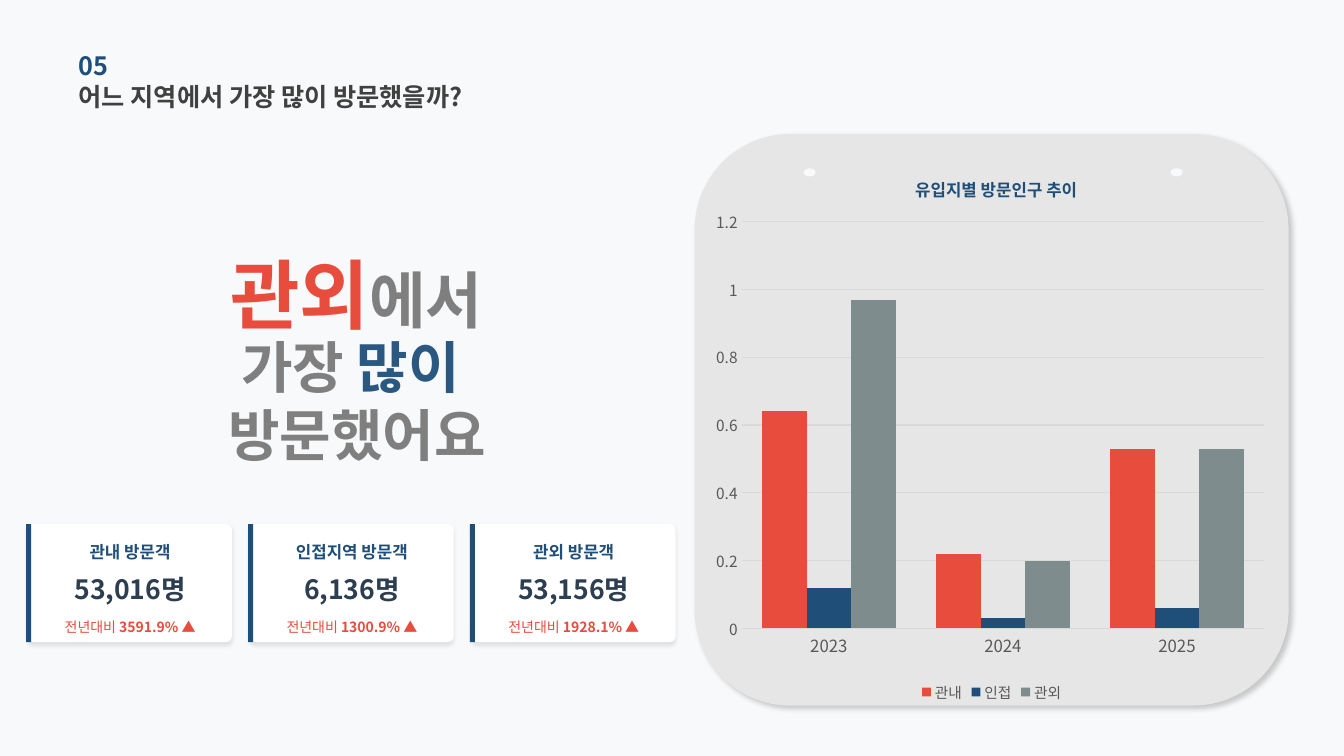
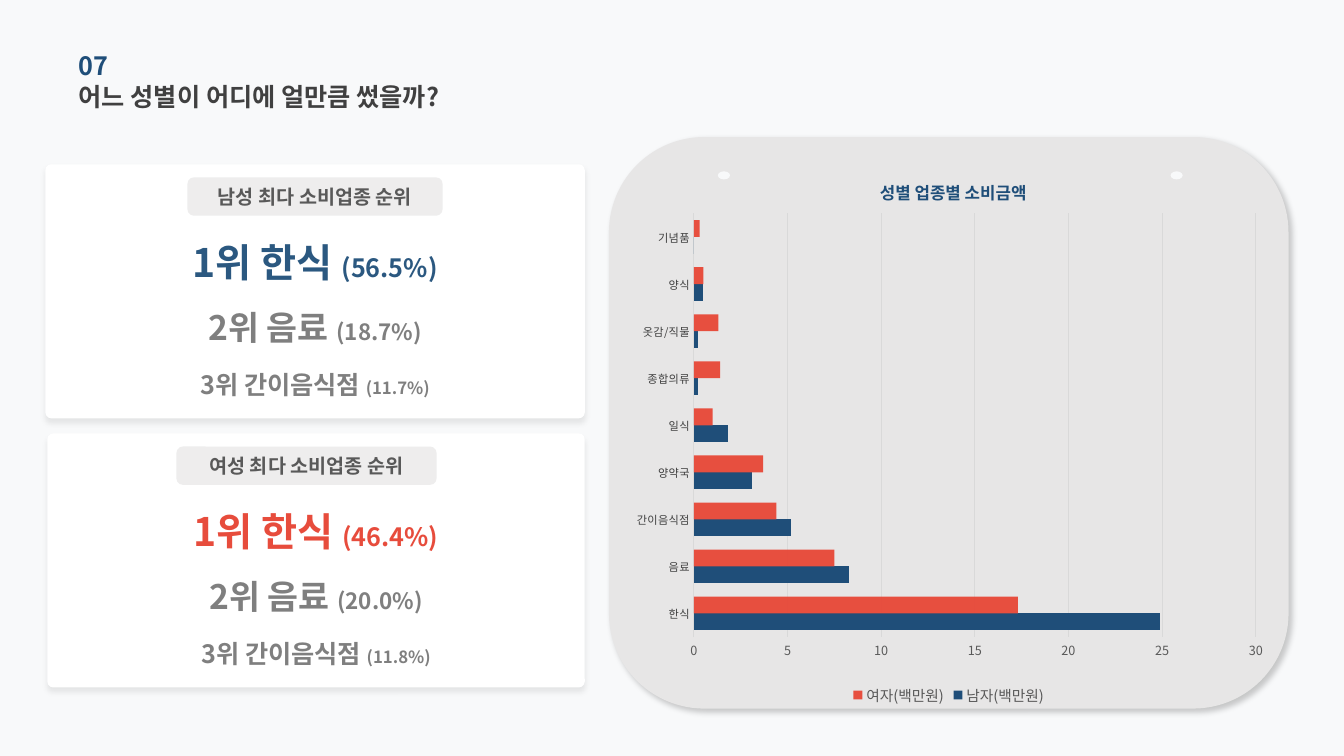
"""Build two slides on visitor origins and on spending by gender."""
from dataclasses import dataclass

from lxml import etree
from pptx import Presentation
from pptx.chart.data import CategoryChartData
from pptx.dml.color import RGBColor
from pptx.enum.chart import XL_CHART_TYPE, XL_LEGEND_POSITION, XL_TICK_MARK
from pptx.enum.shapes import MSO_SHAPE
from pptx.enum.text import MSO_ANCHOR, PP_ALIGN
from pptx.oxml.ns import qn
from pptx.util import Inches, Pt

COLUMNS, BARS = XL_CHART_TYPE.COLUMN_CLUSTERED, XL_CHART_TYPE.BAR_CLUSTERED
LEGEND_BOTTOM, NO_TICK = XL_LEGEND_POSITION.BOTTOM, XL_TICK_MARK.NONE
RECT, ROUND, OVAL = MSO_SHAPE.RECTANGLE, MSO_SHAPE.ROUNDED_RECTANGLE, MSO_SHAPE.OVAL
LEFT, CENTER, MIDDLE = PP_ALIGN.LEFT, PP_ALIGN.CENTER, MSO_ANCHOR.MIDDLE


@dataclass(frozen=True)
class Theme:
    """Colours, font and type sizes shared by the slides."""
    font: str = "Noto Sans CJK KR"
    page: str = "F8F9FA"
    panel: str = "E7E6E6"
    card: str = "FFFFFF"
    badge: str = "D0CECE"
    navy: str = "1F4E79"
    blue: str = "2B5880"
    red: str = "E74C3C"
    slate: str = "7F8C8D"
    ink: str = "2C3E50"
    dark: str = "404040"
    label: str = "595959"
    muted: str = "7F7F7F"
    grid: str = "D9D9D9"
    heading: float = 18
    huge: float = 54
    large: float = 44
    big: float = 40
    figure: float = 19
    caption: float = 12
    small: float = 10
    legend: float = 10.5
    badge_size: float = 14
    ranks: tuple = ((28, 18), (24, 16), (18, 12))


T = Theme()
PANEL_SHADOW = (20, 4, 3, 45)
STAT_SHADOW = (10, 3, 2, 90)
RANK_SHADOW = (8, 4, 3, 90)


def rgb(colour):
    """Turn a hex string into a colour."""
    return RGBColor.from_string(colour)


def style_font(font, size, colour, bold=False):
    """Set the theme font, for Latin and Korean text alike."""
    font.name, font.size, font.bold = T.font, Pt(size), bold
    font.color.rgb = rgb(colour)
    etree.SubElement(font._rPr, qn("a:ea"), typeface=T.font)


def set_alpha(element, percent):
    """Make the first colour inside an element translucent."""
    colour = next(element.iter(qn("a:srgbClr")))
    etree.SubElement(colour, qn("a:alpha"), val=str(percent * 1000))


def add_shadow(shape, alpha, blur, distance, angle):
    """Give a shape a soft black outer shadow."""
    effects = shape.element.spPr.find(qn("a:effectLst"))
    outer = etree.SubElement(effects, qn("a:outerShdw"), blurRad=str(Pt(blur)),
                             dist=str(Pt(distance)), dir=str(angle * 60000),
                             algn="tl", rotWithShape="0")
    etree.SubElement(outer, qn("a:srgbClr"), val="000000")
    set_alpha(outer, alpha)


def add_block(shapes, kind, box, colour, shadow=None, corner=None):
    """Add a plain filled shape without an outline."""
    block = shapes.add_shape(kind, *map(Inches, box))
    block.shadow.inherit = False
    block.fill.solid()
    block.fill.fore_color.rgb = rgb(colour)
    block.line.fill.background()
    if corner is not None:
        block.adjustments[0] = corner
    if shadow:
        add_shadow(block, *shadow)
    return block


def write(frame, lines, size, colour, bold=True, align=CENTER):
    """Fill a frame with lines of (text, font overrides) runs."""
    frame.word_wrap, frame.vertical_anchor = True, MIDDLE
    frame.margin_left = frame.margin_right = frame.margin_top = frame.margin_bottom = 0
    for index, runs in enumerate(lines):
        paragraph = frame.add_paragraph() if index else frame.paragraphs[0]
        paragraph.alignment = align
        style_font(paragraph.font, size, colour, bold)
        for text, changes in runs:
            run = paragraph.add_run()
            run.text = text
            if "size" in changes:
                run.font.size = Pt(changes["size"])
            if "colour" in changes:
                run.font.color.rgb = rgb(changes["colour"])
            if "bold" in changes:
                run.font.bold = changes["bold"]


def add_text(shapes, box, lines, size, colour, **options):
    """Add a text box; a bare string is one line."""
    if isinstance(lines, str):
        lines = [[(lines, {})]]
    frame = shapes.add_textbox(*map(Inches, box)).text_frame
    write(frame, lines, size, colour, **options)


def new_slide(deck, number, question):
    """Add a slide with its page colour, number and question."""
    slide = deck.slides.add_slide(deck.slide_layouts[6])
    slide.background.fill.solid()
    slide.background.fill.fore_color.rgb = rgb(T.page)
    for top, text, colour in ((0.44, number, T.navy), (0.75, question, T.dark)):
        add_text(slide.shapes, (0.78, top, 5.28, 0.41), text, T.heading, colour, align=LEFT)
    return slide.shapes


def place(parent, index, **fractions):
    """Fix a chart part at fractions of the chart area."""
    layout = parent.find(qn("c:layout"))
    if layout is None:
        layout = etree.Element(qn("c:layout"))
        parent.insert(index, layout)
    manual = etree.SubElement(layout, qn("c:manualLayout"))
    if "w" in fractions:
        etree.SubElement(manual, qn("c:layoutTarget"), val="inner")
    for side in ("xMode", "yMode"):
        etree.SubElement(manual, qn(f"c:{side}"), val="edge")
    for key, value in fractions.items():
        etree.SubElement(manual, qn(f"c:{key}"), val=str(value))


def style_axes(chart, category_font, value_font, top, step):
    """Set both axes, their labels and the grid lines."""
    categories, values = chart.category_axis, chart.value_axis
    for axis, font in ((categories, category_font), (values, value_font)):
        axis.major_tick_mark = axis.minor_tick_mark = NO_TICK
        style_font(axis.tick_labels.font, *font)
    values.minimum_scale, values.maximum_scale, values.major_unit = 0, top, step
    values.tick_labels.number_format = "General"
    values.tick_labels.number_format_is_linked = False
    values.format.line.fill.background()
    categories.has_major_gridlines, values.has_major_gridlines = False, True
    for line in (categories.format.line, values.major_gridlines.format.line):
        line.color.rgb, line.width = rgb(T.grid), Pt(0.75)


def chart_panel(shapes, box, kind, title, title_x, categories, series, gap, plot, axes):
    """Draw a rounded panel with two holes and a chart inside."""
    left, top, width, height = box
    add_block(shapes, ROUND, box, T.panel, PANEL_SHADOW)
    for hole in (left + 1.08, left + width - 1.17):
        add_block(shapes, OVAL, (hole, top + 0.34, 0.12, 0.08), T.page)

    data = CategoryChartData()
    data.categories = categories
    for name, values, _, _ in series:
        data.add_series(name, values)
    area = (left + 0.13, top + 0.15, width - 0.26, height - 0.14)
    chart = shapes.add_chart(kind, *map(Inches, area), data).chart
    style_font(chart.font, T.small, T.label)
    style_axes(chart, *axes)

    bars = chart.plots[0]
    bars.gap_width, bars.overlap, bars.vary_by_categories = gap, 0, False
    for bar, (_, _, colour, alpha) in zip(bars.series, series):
        bar.invert_if_negative = False
        bar.format.fill.solid()
        bar.format.fill.fore_color.rgb = rgb(colour)
        if alpha < 100:
            set_alpha(bar._element, alpha)

    chart.has_legend = True
    chart.legend.position, chart.legend.include_in_layout = LEGEND_BOTTOM, False
    style_font(chart.legend.font, T.legend, T.label)

    chart.has_title = True
    heading = chart.chart_title.text_frame.paragraphs[0]
    style_font(heading.font, T.caption, T.navy, True)
    heading.add_run().text = title
    place(chart.chart_title._element, 1, x=title_x, y=0.04)
    place(chart._chartSpace.chart.plotArea, 0, **plot)


def stat_card(shapes, left, top, label, count, change):
    """Draw a visitor count card with an accent bar."""
    width, height = 2.02, 1.17
    add_block(shapes, ROUND, (left, top, width, height), T.card, STAT_SHADOW, 0.048)
    add_block(shapes, RECT, (left - 0.02, top, 0.05, height), T.navy)
    add_text(shapes, (left, top + 0.16, width, 0.22), label, T.caption, T.navy)
    add_text(shapes, (left, top + 0.47, width, 0.34), count, T.figure, T.ink)
    growth = [[("전년대비 ", {}), (f"{change} ▲", {"bold": True})]]
    add_text(shapes, (left, top + 0.92, width, 0.2), growth, T.small, T.red, bold=False)


def rank_card(shapes, box, badge, badge_left, badge_width, accent, shares):
    """Draw a card ranking the three top spending categories."""
    left, top, width, _ = box
    parts = shapes.add_group_shape().shapes
    add_block(parts, ROUND, box, T.card, RANK_SHADOW, 0.023)
    names = ("1위 한식 ", "2위 음료 ", "3위 간이음식점 ")
    rows = ((0.73, 0.48, accent), (1.19, 0.84, T.muted), (1.76, 0.84, T.muted))
    for name, share, (size, share_size), (offset, height, colour) in zip(
            names, shares, T.ranks, rows):
        line = [(name, {}), (share, {"size": share_size})]
        add_text(parts, (left, top + offset, width, height), [line], size, colour)
    tag = add_block(parts, ROUND, (left + badge_left, top + 0.13, badge_width, 0.38), T.badge)
    set_alpha(tag.element.spPr, 36)
    write(tag.text_frame, [[(badge, {})]], T.badge_size, T.label)


def origin_slide(deck):
    """Build the slide on where visitors come from."""
    shapes = new_slide(deck, "05", "어느 지역에서 가장 많이 방문했을까?")
    chart_panel(
        shapes, (6.89, 1.33, 5.89, 5.67), COLUMNS, "유입지별 방문인구 추이", 0.36,
        ("2023", "2024", "2025"),
        (("관내", (0.64, 0.22, 0.53), T.red, 100),
         ("인접", (0.12, 0.03, 0.06), T.navy, 100),
         ("관외", (0.97, 0.2, 0.53), T.slate, 100)),
        90, {"x": 0.06, "y": 0.13, "w": 0.92, "h": 0.73},
        ((12, T.label), (11, T.label), 1.2, 0.2))
    add_text(shapes, (1.39, 2.67, 4.29, 0.48),
             [[("관외", {"size": T.huge, "colour": T.red}), ("에서", {})]], T.large, T.muted)
    add_text(shapes, (0.78, 3.55, 5.52, 0.84),
             [[("가장", {}), (" 많이 ", {"colour": T.blue})], [("방문했어요", {})]],
             T.big, T.muted)
    stats = (("관내 방문객", "53,016명", "3591.9%"),
             ("인접지역 방문객", "6,136명", "1300.9%"),
             ("관외 방문객", "53,156명", "1928.1%"))
    for column, stat in enumerate(stats):
        stat_card(shapes, 0.28 + 2.2 * column, 5.2, *stat)


def spending_slide(deck):
    """Build the slide on spending by gender."""
    shapes = new_slide(deck, "07", "어느 성별이 어디에 얼만큼 썼을까?")
    chart_panel(
        shapes, (6.04, 1.36, 6.74, 5.67), BARS, "성별 업종별 소비금액", 0.39,
        ("한식", "음료", "간이음식점", "양약국", "일식", "종합의류", "옷감/직물", "양식", "기념품"),
        (("남자(백만원)", (24.9, 8.3, 5.2, 3.1, 1.8, 0.2, 0.2, 0.5, 0), T.navy, 100),
         ("여자(백만원)", (17.3, 7.5, 4.4, 3.7, 1, 1.4, 1.3, 0.5, 0.3), T.red, 98)),
        80, {"x": 0.11, "y": 0.11, "w": 0.86, "h": 0.76},
        ((8, T.dark), (9, T.label), 30, 5))
    rank_card(shapes, (0.45, 1.63, 5.35, 2.52), "남성 최다 소비업종 순위", 1.41, 2.53,
              T.blue, ("(56.5%)", "(18.7%)", "(11.7%)"))
    rank_card(shapes, (0.47, 4.3, 5.33, 2.52), "여성 최다 소비업종 순위", 1.28, 2.58,
              T.red, ("(46.4%)", "(20.0%)", "(11.8%)"))


def main():
    """Build and save the deck."""
    deck = Presentation()
    deck.slide_width, deck.slide_height = Inches(13.33), Inches(7.5)
    origin_slide(deck)
    spending_slide(deck)
    deck.save("out.pptx")


if __name__ == "__main__":
    main()
